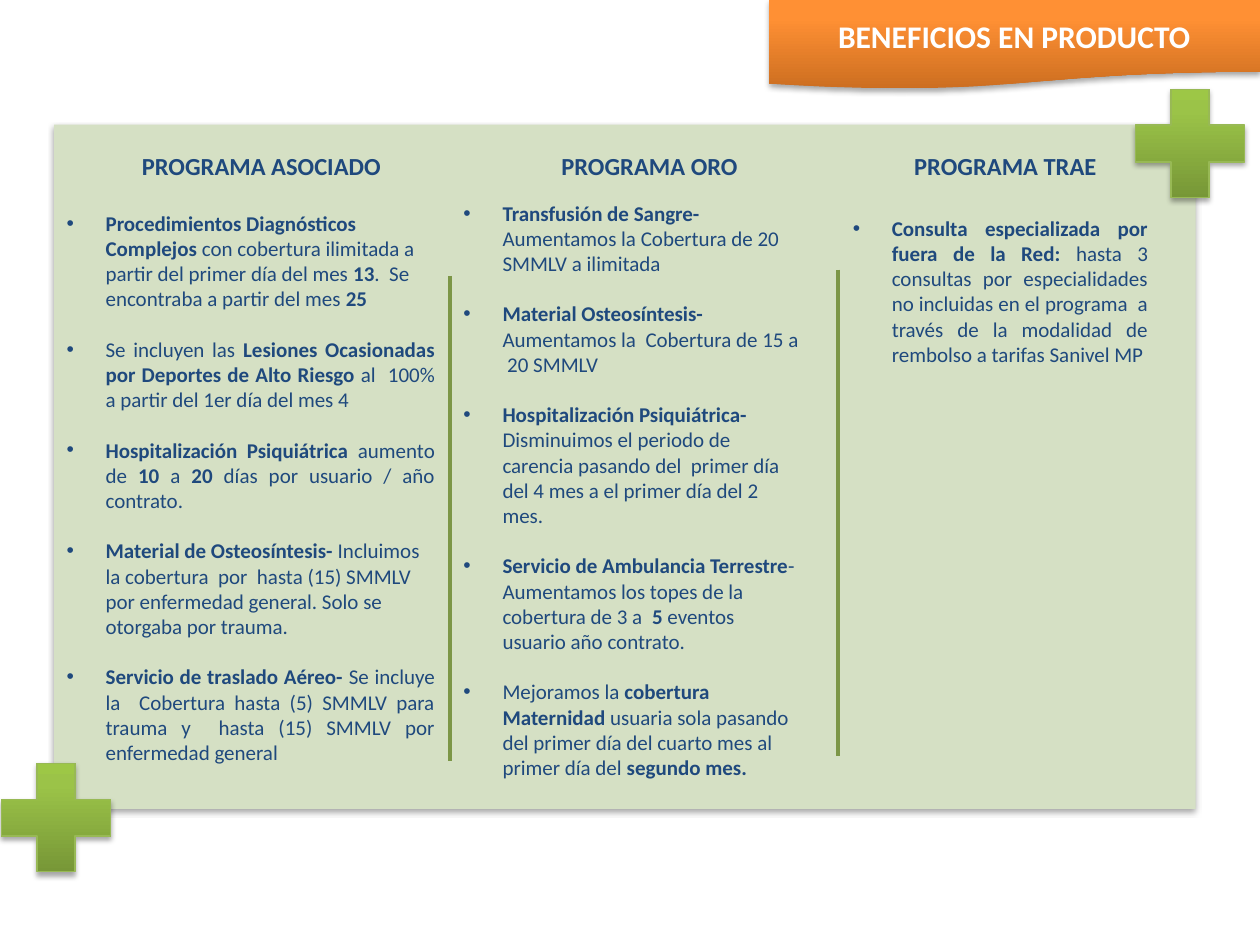
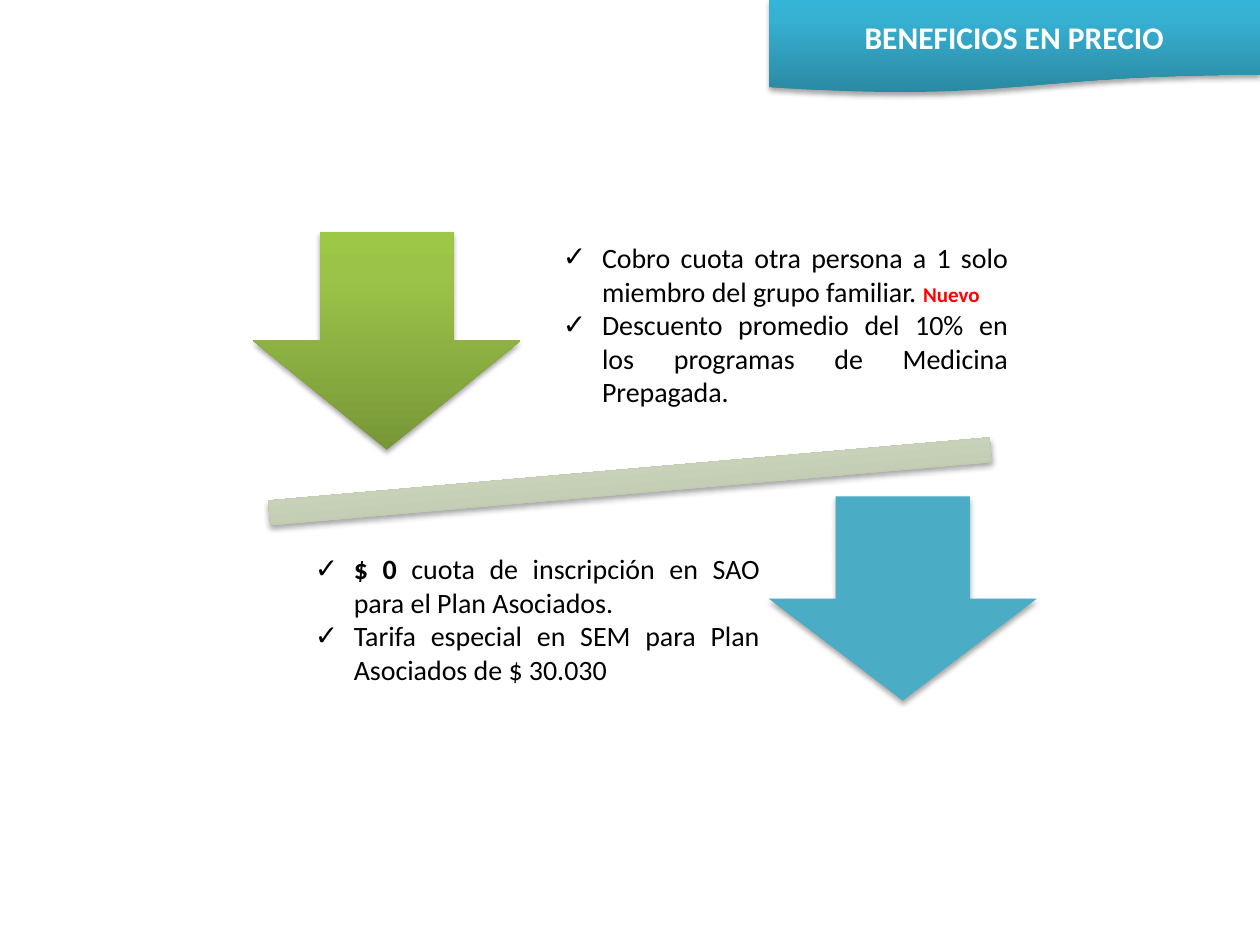
"""Build two slides on the product and price benefits of the health plans."""
from dataclasses import dataclass

from lxml import etree
from pptx import Presentation
from pptx import util as u
from pptx.dml.color import RGBColor
from pptx.enum import shapes, text
from pptx.oxml.ns import qn

EMU_PER_PX = 9144
SHAPE = shapes.MSO_SHAPE
LEFT, CENTER, JUSTIFY = text.PP_ALIGN.LEFT, text.PP_ALIGN.CENTER, text.PP_ALIGN.JUSTIFY


@dataclass(frozen=True)
class Theme:
    font: str = "Calibri"
    bullet_font: str = "Arial"
    navy: str = "1F497D"
    black: str = "000000"
    white: str = "FFFFFF"
    red: str = "FF0000"
    panel: str = "D5E0C4"
    divider: str = "7C9647"
    cross_edge: str = "98B955"
    teal: str = "4BACC6"
    green: tuple = ("779737", "9BC348", "9DC746")
    orange: tuple = ("CC6E20", "FF9034", "FF9136")
    blue: tuple = ("2A88A2", "37B1D2", "34B4D6")
    sage: tuple = ("A6AF99", "D8E3C7", "D9E5C8")
    stops: tuple = (0, 80, 100)
    title_size: int = 18
    heading_size: int = 14
    body_size: int = 12
    large_size: int = 16
    item_gap: float = 14.4


def px(length):
    return u.Emu(length * EMU_PER_PX)


def add_xml(parent, tag, **attributes):
    return etree.SubElement(parent, qn(tag), {key: str(value) for key, value in attributes.items()})


class Deck:
    def __init__(self, theme):
        self.theme = theme
        self.presentation = Presentation()
        self.presentation.slide_width = px(1000)
        self.presentation.slide_height = px(750)
        self.slide = None

    def new_slide(self):
        self.slide = self.presentation.slides.add_slide(self.presentation.slide_layouts[6])

    def paint(self, shape, colors):
        if isinstance(colors, str):
            shape.fill.solid()
            shape.fill.fore_color.rgb = RGBColor.from_string(colors)
            return
        shape.fill.gradient()
        shape.fill.gradient_angle = 90
        stop_list = shape.element.spPr.find(".//" + qn("a:gsLst"))
        for stop in list(stop_list):
            stop_list.remove(stop)
        for position, color in zip(self.theme.stops, colors):
            stop = add_xml(stop_list, "a:gs", pos=position * 1000)
            add_xml(stop, "a:srgbClr", val=color)

    def cast_shadow(self, shape):
        shape.shadow.inherit = False
        effects = shape.element.spPr.find(qn("a:effectLst"))
        shadow = add_xml(effects, "a:outerShdw", blurRad=u.Pt(3.1), dist=u.Pt(1.8),
                         dir=5400000, rotWithShape=0)
        color = add_xml(shadow, "a:srgbClr", val=self.theme.black)
        add_xml(color, "a:alpha", val=35000)

    def shape(self, kind, left, top, width, height, colors, rotation=0):
        shape = self.slide.shapes.add_shape(kind, px(left), px(top), px(width), px(height))
        self.paint(shape, colors)
        shape.line.fill.background()
        shape.rotation = rotation
        self.cast_shadow(shape)
        return shape

    def cross(self, left, top):
        cross = self.shape(SHAPE.CROSS, left, top, 87, 86, self.theme.green)
        cross.adjustments[0] = 0.33
        cross.line.color.rgb = RGBColor.from_string(self.theme.cross_edge)
        cross.line.width = u.Pt(0.75)

    def divider(self, x, top, bottom):
        line = self.slide.shapes.add_connector(
            shapes.MSO_CONNECTOR.STRAIGHT, px(x), px(top), px(x), px(bottom))
        line.line.color.rgb = RGBColor.from_string(self.theme.divider)
        line.line.width = u.Pt(2)
        add_xml(line.element.spPr, "a:effectLst")

    def format_run(self, run, size, color, bold):
        run.font.name = self.theme.font
        run.font.size = u.Pt(size)
        run.font.bold = bold
        run.font.color.rgb = RGBColor.from_string(color)

    def label(self, shape, wording, size, color):
        paragraph = shape.text_frame.paragraphs[0]
        paragraph.text = wording
        paragraph.alignment = CENTER
        self.format_run(paragraph.runs[0], size, color, True)

    def title(self, wording, height, colors):
        band = self.shape(SHAPE.FLOWCHART_DOCUMENT, 610, 0, 390, height, colors)
        band.text_frame.vertical_anchor = text.MSO_ANCHOR.MIDDLE
        self.label(band, wording, self.theme.title_size, self.theme.white)

    def text_box(self, left, top, width, height):
        box = self.slide.shapes.add_textbox(px(left), px(top), px(width), px(height))
        box.text_frame.word_wrap = True
        return box

    def heading(self, wording, left, width):
        box = self.text_box(left, 115, width, 34)
        self.label(box, wording, self.theme.heading_size, self.theme.navy)

    def bullets(self, items, left, top, width, height, size, color, mark="•", gap=0):
        """Add bulleted items, with bold wording between double asterisks."""
        frame = self.text_box(left, top, width, height).text_frame
        for index, (alignment, wording) in enumerate(items):
            paragraph = frame.add_paragraph() if index else frame.paragraphs[0]
            paragraph.alignment = alignment
            paragraph.space_before = u.Pt(gap if index else 0)
            properties = paragraph._p.get_or_add_pPr()
            properties.set("marL", str(px(31)))
            properties.set("indent", str(px(-31)))
            add_xml(properties, "a:buFont", typeface=self.theme.bullet_font)
            add_xml(properties, "a:buChar", char=mark)
            for part, piece in enumerate(wording.split("**")):
                if piece:
                    run = paragraph.add_run()
                    run.text = piece
                    self.format_run(run, size, color, part % 2 == 1)
        return frame.paragraphs


ASSOCIATE_ITEMS = [
    (LEFT, "**Procedimientos Diagnósticos Complejos **con cobertura ilimitada a partir del "
           "primer día del mes **13**.  Se encontraba a partir del mes **25**"),
    (JUSTIFY, "Se incluyen las **Lesiones Ocasionadas por Deportes de Alto Riesgo **al  100% "
              "a partir del 1er día del mes 4"),
    (JUSTIFY, "**Hospitalización Psiquiátrica **aumento de **10** a **20 **días por usuario "
              "/ año contrato."),
    (LEFT, "**Material de Osteosíntesis- **Incluimos la cobertura  por  hasta (15) SMMLV por "
           "enfermedad general. Solo se otorgaba por trauma."),
    (JUSTIFY, "**Servicio de traslado Aéreo- **Se incluye la  Cobertura hasta (5) SMMLV para "
              "trauma y  hasta (15) SMMLV por enfermedad general"),
]
GOLD_ITEMS = [
    (LEFT, "**Transfusión de Sangre- **Aumentamos la Cobertura de 20 SMMLV a ilimitada"),
    (LEFT, "**Material Osteosíntesis- **Aumentamos la  Cobertura de 15 a  20 SMMLV"),
    (LEFT, "**Hospitalización Psiquiátrica- **Disminuimos el periodo de carencia pasando del  "
           "primer día del 4 mes a el primer día del 2 mes."),
    (LEFT, "**Servicio de Ambulancia Terrestre**-Aumentamos los topes de la cobertura de 3 a  "
           "**5** eventos usuario año contrato."),
    (LEFT, "Mejoramos la **cobertura Maternidad **usuaria sola pasando del primer día del "
           "cuarto mes al primer día del **segundo mes.**"),
]
TRAE_ITEMS = [
    (JUSTIFY, "**Consulta especializada por fuera de la Red: **hasta 3 consultas por "
              "especialidades no incluidas en el programa  a través de la modalidad de "
              "rembolso a tarifas Sanivel MP"),
]
FEE_ITEMS = [
    (JUSTIFY, "Cobro cuota otra persona a 1 solo miembro del grupo familiar. **Nuevo**"),
    (JUSTIFY, "Descuento promedio del 10% en los programas de Medicina Prepagada."),
]
RATE_ITEMS = [
    (JUSTIFY, "**$ 0 **cuota de inscripción en SAO para el Plan Asociados."),
    (JUSTIFY, "Tarifa especial en SEM para Plan Asociados de $ 30.030"),
]


def build_product_slide(deck):
    theme = deck.theme
    deck.new_slide()
    deck.shape(SHAPE.RECTANGLE, 43, 99, 906, 543, theme.panel)
    for left, top in ((1, 606), (901, 71)):
        deck.cross(left, top)
    for x, top, bottom in ((357, 219, 604), (665, 214, 600)):
        deck.divider(x, top, bottom)
    for wording, left, width in (("PROGRAMA ASOCIADO", 44, 327),
                                 ("PROGRAMA ORO", 350, 331),
                                 ("PROGRAMA TRAE", 671, 254)):
        deck.heading(wording, left, width)
    for items, left, top, width, height in ((ASSOCIATE_ITEMS, 43, 162, 312, 460),
                                            (GOLD_ITEMS, 358, 154, 288, 480),
                                            (TRAE_ITEMS, 667, 166, 254, 160)):
        deck.bullets(items, left, top, width, height, theme.body_size, theme.navy,
                     gap=theme.item_gap)
    deck.title("BENEFICIOS EN PRODUCTO", 71, theme.orange)


def build_price_slide(deck):
    theme = deck.theme
    deck.new_slide()
    deck.shape(SHAPE.MATH_MINUS, 109, 340, 782, 84, theme.sage, rotation=355)
    deck.shape(SHAPE.DOWN_ARROW, 201, 184, 212, 173, theme.green)
    deck.shape(SHAPE.UP_ARROW, 610, 394, 213, 162, theme.teal, rotation=180)
    fee_paragraphs = deck.bullets(FEE_ITEMS, 437, 186, 373, 145,
                                  theme.large_size, theme.black, mark="✓")
    deck.format_run(fee_paragraphs[0].runs[-1], theme.body_size, theme.red, True)
    deck.bullets(RATE_ITEMS, 240, 433, 373, 120, theme.large_size, theme.black, mark="✓")
    deck.title("BENEFICIOS EN PRECIO", 74, theme.blue)


def main():
    deck = Deck(Theme())
    build_product_slide(deck)
    build_price_slide(deck)
    deck.presentation.save("out.pptx")


if __name__ == "__main__":
    main()
